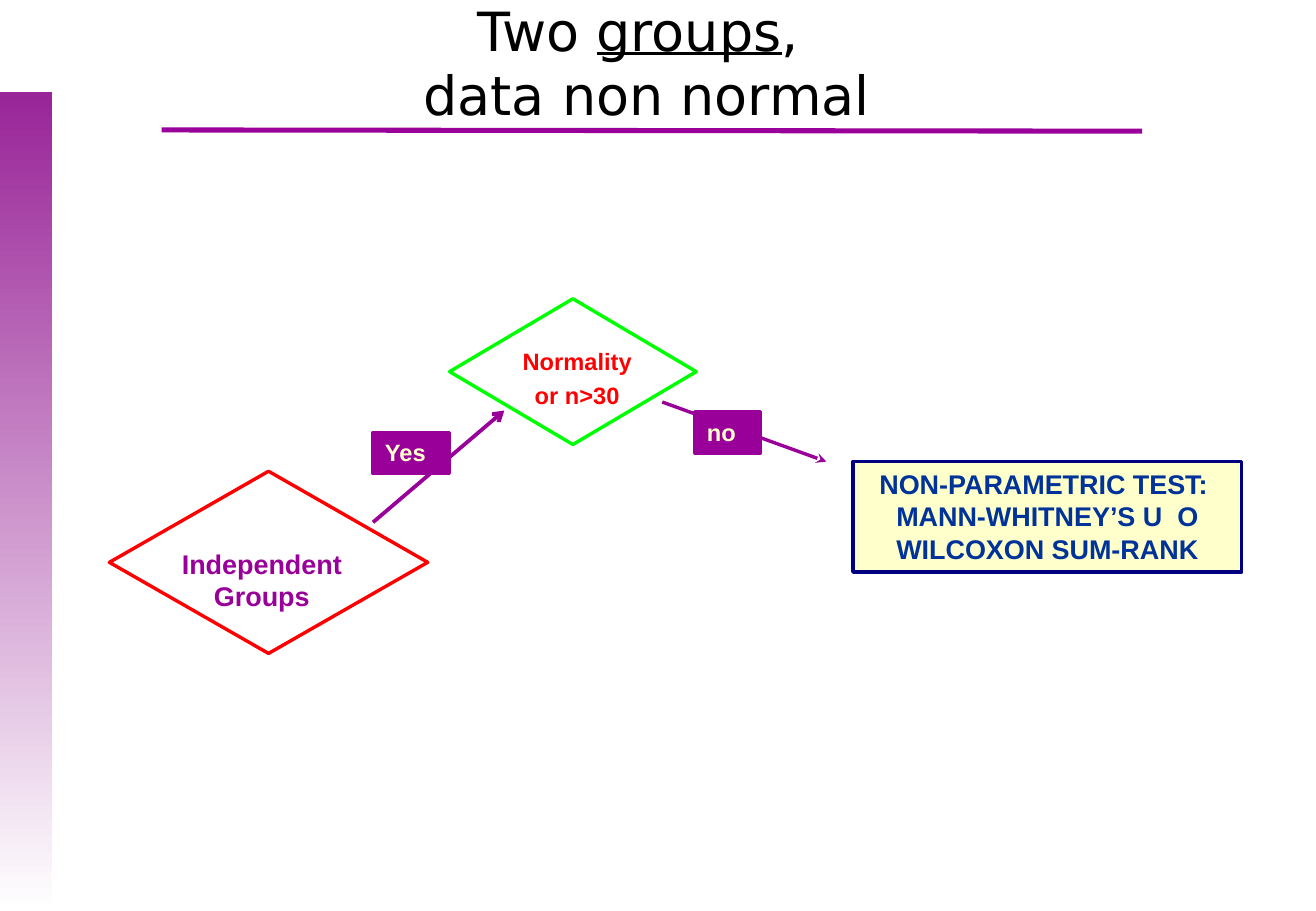
"""Build a decision-flow slide for comparing two groups with non-normal data."""
from dataclasses import dataclass

from lxml import etree
from pptx import Presentation
from pptx.dml.color import RGBColor
from pptx.enum.shapes import MSO_CONNECTOR, MSO_SHAPE
from pptx.enum.text import MSO_ANCHOR, PP_ALIGN
from pptx.oxml.ns import qn
from pptx.util import Emu, Pt

RECTANGLE = MSO_SHAPE.RECTANGLE
DECISION = MSO_SHAPE.FLOWCHART_DECISION
STRAIGHT = MSO_CONNECTOR.STRAIGHT
TOP, MIDDLE = MSO_ANCHOR.TOP, MSO_ANCHOR.MIDDLE
LEFT, CENTER = PP_ALIGN.LEFT, PP_ALIGN.CENTER
EMU_PER_PX = 9144


@dataclass(frozen=True)
class Theme:
    purple: str = "990099"
    band: str = "992598"
    white: str = "FFFFFF"
    black: str = "000000"
    cream: str = "FFFFCC"
    navy: str = "000080"
    blue: str = "003399"
    red: str = "FF0000"
    green: str = "00FF00"
    title_font: str = "DejaVu Sans"
    body_font: str = "Arial"
    title_size: int = 32
    body_size: int = 16
    label_size: int = 14
    outline: int = 2
    paragraph_gap: int = 3


THEME = Theme()


def px(*lengths):
    return [Emu(length * EMU_PER_PX) for length in lengths]


def add_box(slide, box, fill=None, line=None, preset=RECTANGLE):
    shape = slide.shapes.add_shape(preset, *px(*box))
    shape.shadow.inherit = False
    if fill:
        shape.fill.solid()
        shape.fill.fore_color.rgb = RGBColor.from_string(fill)
    else:
        shape.fill.background()
    if line:
        shape.line.color.rgb = RGBColor.from_string(line)
        shape.line.width = Pt(THEME.outline)
    else:
        shape.line.fill.background()
    return shape


def add_run(paragraph, text, size, color, font, bold=False, underline=False):
    run = paragraph.add_run()
    run.text = text
    run.font.size = Pt(size)
    run.font.name = font
    run.font.bold = bold
    run.font.underline = underline
    run.font.color.rgb = RGBColor.from_string(color)


def write_text(shape, lines, size, color, align=CENTER):
    frame = shape.text_frame
    frame.word_wrap = True
    frame.vertical_anchor = TOP
    for index, line in enumerate(lines):
        paragraph = frame.add_paragraph() if index else frame.paragraphs[0]
        paragraph.alignment = align
        paragraph.space_before = Pt(THEME.paragraph_gap if index else 0)
        add_run(paragraph, line, size, color, THEME.body_font, bold=True)


def add_line(slide, start, end, width, arrowhead=None):
    connector = slide.shapes.add_connector(STRAIGHT, *px(*start, *end))
    connector.line.color.rgb = RGBColor.from_string(THEME.purple)
    connector.line.width = Pt(width)
    if arrowhead:
        outline = connector.line._get_or_add_ln()
        etree.SubElement(outline, qn("a:tailEnd"), type=arrowhead)
    etree.SubElement(connector._element.spPr, qn("a:effectLst"))


def add_side_band(slide):
    band = add_box(slide, (0, 76, 43, 674))
    band.fill.gradient()
    band.fill.gradient_angle = 270
    for stop, color in zip(band.fill.gradient_stops, (THEME.band, THEME.white)):
        stop.color.rgb = RGBColor.from_string(color)


def add_title(slide):
    title = add_box(slide, (202, 5, 661, 92), THEME.white)
    frame = title.text_frame
    frame.word_wrap = True
    frame.vertical_anchor = MIDDLE
    paragraph = frame.paragraphs[0]
    paragraph.alignment = CENTER
    style = (THEME.title_size, THEME.black, THEME.title_font)
    add_run(paragraph, "Two ", *style)
    add_run(paragraph, "groups", *style, underline=True)
    add_run(paragraph, ", ", *style)
    paragraph.add_line_break()
    add_run(paragraph, "data non normal", *style)


def add_decision(slide, diamond, text_box, lines, size, outline, color):
    add_box(slide, diamond, line=outline, preset=DECISION)
    write_text(slide.shapes.add_textbox(*px(*text_box)), lines, size, color)


def add_branch(slide, start, end, width, arrowhead, label_box, label):
    add_line(slide, start, end, width, arrowhead)
    shape = add_box(slide, label_box, THEME.purple, THEME.purple)
    write_text(shape, [label], THEME.label_size, THEME.cream, LEFT)


def add_outcome(slide):
    outcome = add_box(slide, (702, 380, 320, 91), THEME.cream, THEME.navy)
    text = "NON-PARAMETRIC TEST:  MANN-WHITNEY’S U  O WILCOXON SUM-RANK"
    write_text(outcome, [text], THEME.body_size, THEME.blue)


def main():
    presentation = Presentation()
    presentation.slide_width, presentation.slide_height = px(1083, 750)
    slide = presentation.slides.add_slide(presentation.slide_layouts[6])
    add_side_band(slide)
    add_line(slide, (133, 107), (940, 108), 3)
    add_title(slide)
    add_outcome(slide)
    add_decision(slide, (90, 388, 262, 150), (101, 446, 229, 37),
                 ["Independent Groups"], THEME.body_size, THEME.red, THEME.purple)
    add_branch(slide, (307, 430), (415, 338), 2.25, "arrow", (307, 356, 63, 34), "Yes")
    add_decision(slide, (370, 246, 203, 120), (381, 281, 188, 62),
                 ["Normality", "or n>30"], THEME.label_size, THEME.green, THEME.red)
    add_branch(slide, (545, 331), (680, 380), 2, "stealth", (572, 339, 54, 34), "no")
    presentation.save("out.pptx")


if __name__ == "__main__":
    main()
